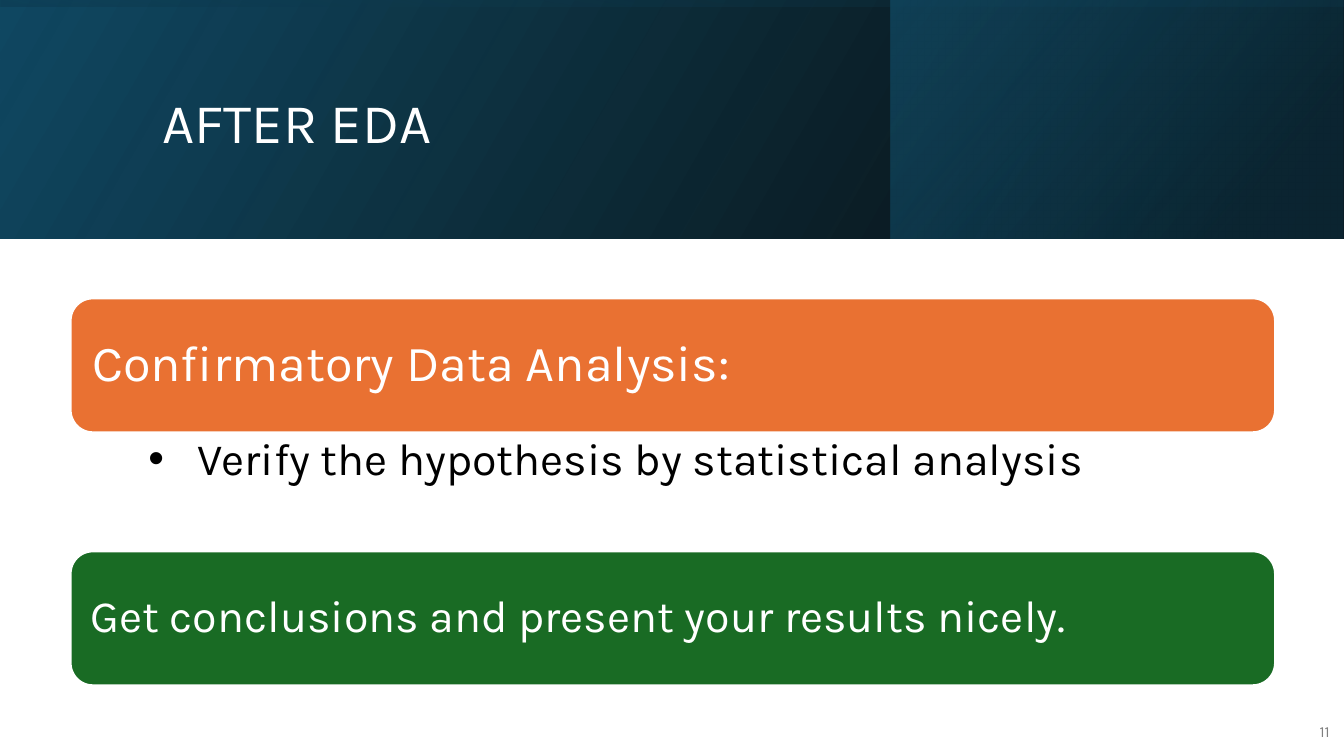
from dataclasses import dataclass

import pptx
import pptx.dml.color
import pptx.enum.shapes
import pptx.enum.text
import pptx.oxml.ns
import pptx.util
from lxml import etree

Pt = pptx.util.Pt
Anchor = pptx.enum.text.MSO_ANCHOR
Align = pptx.enum.text.PP_ALIGN
Preset = pptx.enum.shapes.MSO_SHAPE
qn = pptx.oxml.ns.qn

WIDTH, HEIGHT, HEADER_HEIGHT = 960, 540, 170.64
CARD_LEFT, CARD_TOP, CARD_WIDTH, CARD_HEIGHT = 50.4, 213.1, 860.4, 95.76
DETAIL_HEIGHT = 84.96


@dataclass(frozen=True)
class Box:
    left: float
    top: float
    width: float
    height: float

    def lengths(self) -> list:
        return [Pt(value) for value in (self.left, self.top, self.width, self.height)]


@dataclass(frozen=True)
class Stop:
    position: float
    color: str
    opacity: int


@dataclass(frozen=True)
class Band:
    box: Box
    angle: int  # clockwise degrees
    stops: tuple[Stop, Stop]
    rotation: int = 0


@dataclass(frozen=True)
class Card:
    text: str
    color: str
    size: int
    inset: float


BANDS = [
    Band(Box(0, 0, WIDTH, HEADER_HEIGHT), 330,
         (Stop(0, "000000", 96), Stop(1, "104862", 100))),
    Band(Box(636.5, 0, 322.8, HEADER_HEIGHT), 320,
         (Stop(0.19, "0B3041", 68), Stop(1, "156082", 48))),
    Band(Box((WIDTH - HEADER_HEIGHT) / 2, (HEADER_HEIGHT - WIDTH) / 2, HEADER_HEIGHT, WIDTH), 350,
         (Stop(0.23, "104862", 16), Stop(0.99, "000000", 45)), rotation=270),
]
CARDS = [
    Card("Confirmatory Data Analysis:", "E97132", 36, 10.8),
    Card("Get conclusions and present your results nicely.", "196B24", 32, 9.6),
]


def rgb(color: str) -> pptx.dml.color.RGBColor:
    return pptx.dml.color.RGBColor.from_string(color)


def apply(target, values: dict) -> None:
    for name, value in values.items():
        setattr(target, name, value)


def write_text(shape, text: str, size: int, color: str, insets=(7.2, 3.6, 7.2, 3.6),
               anchor=Anchor.MIDDLE, paragraph_format: dict | None = None):
    """Fill the shape with one formatted paragraph and return it."""
    frame = shape.text_frame
    frame.text = text
    sides = ("margin_left", "margin_top", "margin_right", "margin_bottom")
    apply(frame, {"word_wrap": True, "auto_size": pptx.enum.text.MSO_AUTO_SIZE.NONE,
                  "vertical_anchor": anchor, **dict(zip(sides, map(Pt, insets)))})
    paragraph = frame.paragraphs[0]
    apply(paragraph, {"alignment": Align.LEFT, "line_spacing": 0.9, **(paragraph_format or {})})
    font = paragraph.runs[0].font
    apply(font, {"name": "Karla", "size": Pt(size)})
    font.color.rgb = rgb(color)
    return paragraph


def add_band(slide, band: Band) -> None:
    shape = slide.shapes.add_shape(Preset.RECTANGLE, *band.box.lengths())
    shape.shadow.inherit = False
    shape.rotation = band.rotation
    shape.element.spPr.find(qn("a:xfrm")).set("flipH", "1")
    shape.line.fill.background()
    shape.fill.gradient()
    shape.fill.gradient_angle = 360 - band.angle
    for gradient_stop, stop in zip(shape.fill.gradient_stops, band.stops):
        gradient_stop.position = stop.position
        gradient_stop.color.rgb = rgb(stop.color)
    for color, stop in zip(shape.element.spPr.iter(qn("a:srgbClr")), band.stops):
        etree.SubElement(color, qn("a:alpha"), val=str(stop.opacity * 1000))


def add_card(slide, card: Card, top: float) -> None:
    box = Box(CARD_LEFT, top, CARD_WIDTH, CARD_HEIGHT)
    shape = slide.shapes.add_shape(Preset.ROUNDED_RECTANGLE, *box.lengths())
    shape.shadow.inherit = False
    shape.fill.solid()
    shape.fill.fore_color.rgb = rgb(card.color)
    shape.line.color.rgb = rgb("FFFFFF")
    shape.line.width = Pt(1.5)
    write_text(shape, card.text, card.size, "FFFFFF", (card.inset,) * 4)


def add_bullet(paragraph, left: float, hanging: float) -> None:
    properties = paragraph._p.get_or_add_pPr()
    properties.set("marL", str(int(Pt(left))))
    properties.set("indent", str(-int(Pt(hanging))))
    etree.SubElement(properties, qn("a:buFont"), typeface="Arial")
    etree.SubElement(properties, qn("a:buChar"), char="•")


def main() -> None:
    presentation = pptx.Presentation()
    apply(presentation, {"slide_width": Pt(WIDTH), "slide_height": Pt(HEIGHT)})
    slide = presentation.slides.add_slide(presentation.slide_layouts.get_by_name("Title Only"))

    # Header bands, with the title in front of them
    for band in BANDS:
        add_band(slide, band)
    title = slide.shapes.title
    slide.shapes.element.append(title.element)
    apply(title, dict(zip(("left", "top", "width", "height"),
                          Box(108.7, 27.4, 765.4, 123.8).lengths())))
    write_text(title, "AFTER EDA", 40, "FFFFFF")

    # Slide number
    number = slide.shapes.add_textbox(*Box(921.6, 508.3, 35.3, 28.8).lengths())
    write_text(number, "11", 11, "808080",
               paragraph_format={"alignment": Align.RIGHT, "line_spacing": 1.0, "space_after": Pt(8)})

    # Cards, with the detail between them
    for index, card in enumerate(CARDS):
        add_card(slide, card, CARD_TOP + index * (CARD_HEIGHT + DETAIL_HEIGHT))
    detail = slide.shapes.add_textbox(
        *Box(CARD_LEFT, CARD_TOP + CARD_HEIGHT, CARD_WIDTH, DETAIL_HEIGHT).lengths())
    paragraph = write_text(detail, "Verify the hypothesis by statistical analysis", 32, "000000",
                           (27.4, 2.9, 18, 2.9), Anchor.TOP, {"level": 1})
    add_bullet(paragraph, 63.4, 35.3)

    presentation.save("out.pptx")


if __name__ == "__main__":
    main()
